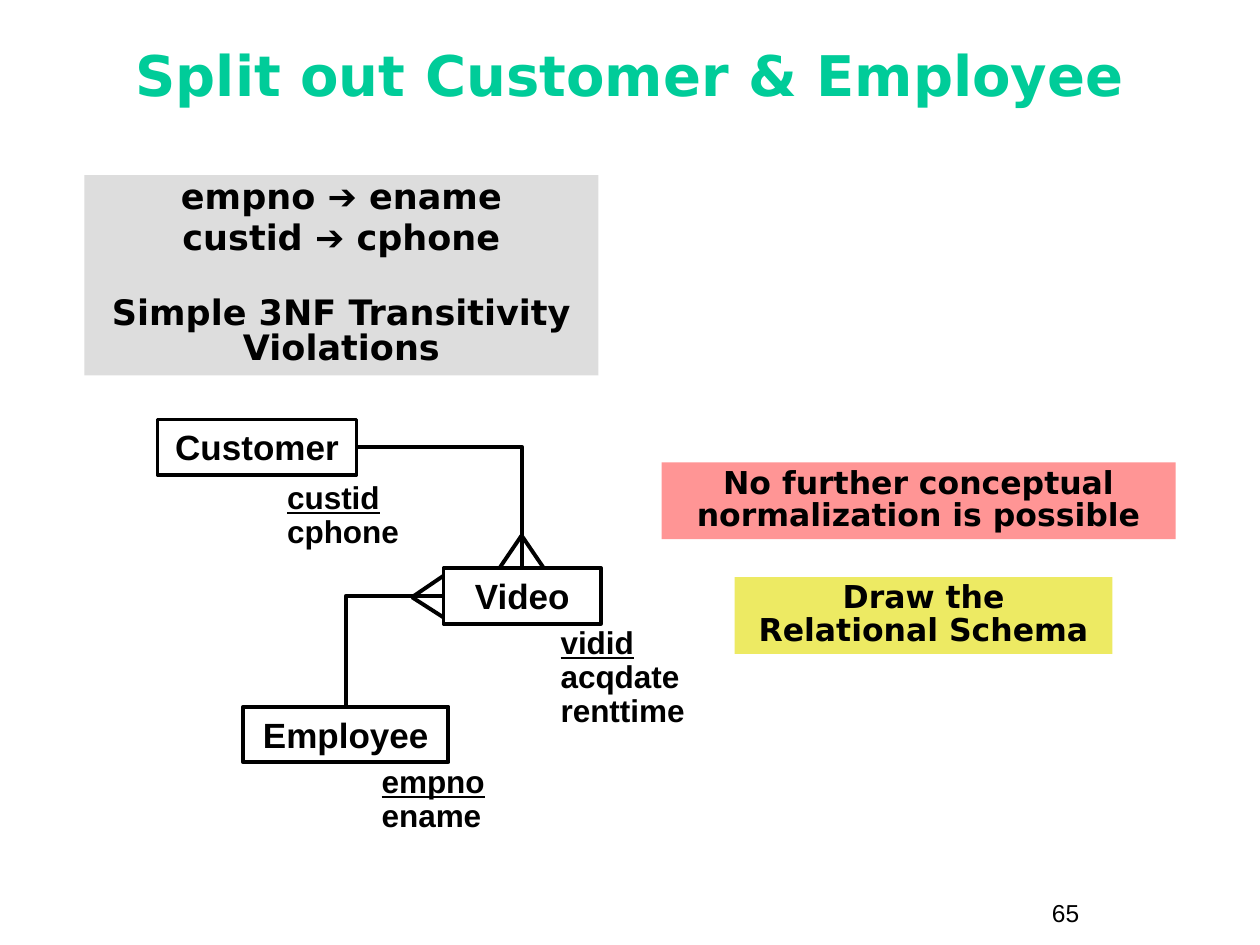
import pptx
import pptx.util
import pptx.dml.color
import pptx.enum.shapes
import pptx.enum.text
import pptx.oxml.ns
from lxml import etree
from pptx.util import Inches, Pt

RGBColor = pptx.dml.color.RGBColor
BLACK = RGBColor(0x00, 0x00, 0x00)
GREEN = RGBColor(0x00, 0xCC, 0x99)
GREY = RGBColor(0xDD, 0xDD, 0xDD)
PINK = RGBColor(0xFF, 0x95, 0x95)
YELLOW = RGBColor(0xED, 0xEA, 0x63)
LEFT = pptx.enum.text.PP_ALIGN.LEFT
CENTER = pptx.enum.text.PP_ALIGN.CENTER
TOP = pptx.enum.text.MSO_ANCHOR.TOP
MIDDLE = pptx.enum.text.MSO_ANCHOR.MIDDLE
RECTANGLE = pptx.enum.shapes.MSO_SHAPE.RECTANGLE
CONNECTOR = pptx.enum.shapes.MSO_CONNECTOR

presentation = pptx.Presentation()
presentation.slide_width = Inches(10)
presentation.slide_height = Inches(7.5)
slide = presentation.slides.add_slide(presentation.slide_layouts[6])


def write(shape, lines, size, font="Arial", color=BLACK, bold=True,
          align=LEFT, spacing=1.0, anchor=TOP):
    """Fill a shape with one paragraph per line."""
    frame = shape.text_frame
    frame.word_wrap = True
    frame.vertical_anchor = anchor
    frame.text = "\n".join(lines)
    for paragraph in frame.paragraphs:
        paragraph.alignment = align
        paragraph.line_spacing = spacing
        paragraph.font.size = Pt(size)
        paragraph.font.name = font
        paragraph.font.bold = bold
        paragraph.font.color.rgb = color
    return frame.paragraphs


def add_line(kind, x1, y1, x2, y2):
    """Draw a black connector without a shadow."""
    line = slide.shapes.add_connector(
        kind, Inches(x1), Inches(y1), Inches(x2), Inches(y2))
    line.line.color.rgb = BLACK
    line.line.width = Pt(2.25)
    etree.SubElement(line._element.spPr, pptx.oxml.ns.qn("a:effectLst"))
    return line


# Title and page number
title = slide.shapes.add_textbox(Inches(0.75), Inches(0.17), Inches(8.5), Inches(0.92))
write(title, ["Split out Customer & Employee"], 32, "DejaVu Sans", GREEN,
      align=CENTER, spacing=0.85, anchor=MIDDLE)
page_number = slide.shapes.add_textbox(Inches(8.25), Inches(7.08), Inches(0.92), Inches(0.34))
write(page_number, ["65"], 14, bold=False)

# Entities, each with its attributes below (the key is underlined)
entities = {}
for name, x, y, width, attributes, text_x, text_y, text_width in [
    ("Video", 3.52, 4.51, 1.25, ["vidid", "acqdate", "renttime"], 4.35, 4.93, 1.42),
    ("Employee", 1.93, 5.61, 1.63, ["empno", "ename"], 2.93, 6.03, 1.17),
    ("Customer", 1.25, 3.33, 1.58, ["custid", "cphone"], 2.18, 3.78, 1.17),
]:
    entity = slide.shapes.add_shape(
        RECTANGLE, Inches(x), Inches(y), Inches(width), Inches(0.44))
    entity.shadow.inherit = False
    entity.fill.background()
    entity.line.color.rgb = BLACK
    entity.line.width = Pt(2.25)
    write(entity, [name], 20, align=CENTER)
    entities[name] = entity
    attribute_box = slide.shapes.add_textbox(
        Inches(text_x), Inches(text_y), Inches(text_width),
        Inches(0.1 + 0.27 * len(attributes)))
    paragraphs = write(attribute_box, attributes, 18, spacing=0.9)
    paragraphs[0].font.underline = True

# Relationships with a single right-angle bend
for start, start_site, end, end_site, points in [
    ("Customer", 3, "Video", 0, (2.83, 3.55, 4.14, 4.51)),
    ("Video", 1, "Employee", 0, (3.52, 4.73, 2.75, 5.61)),
]:
    relationship = add_line(CONNECTOR.ELBOW, *points)
    relationship.begin_connect(entities[start], start_site)
    relationship.end_connect(entities[end], end_site)
    relationship._element.spPr.prstGeom.set("prst", "bentConnector2")

# Crow's feet on Video
for points in [
    (4.14, 4.25, 3.97, 4.5),
    (4.14, 4.25, 4.31, 4.5),
    (3.27, 4.74, 3.52, 4.57),
    (3.27, 4.74, 3.52, 4.9),
]:
    add_line(CONNECTOR.STRAIGHT, *points)

# Coloured notes
for lines, size, fill, x, y, width, height in [
    (["empno ➔ ename", "custid ➔ cphone", "Simple 3NF Transitivity Violations"],
     20, GREY, 0.67, 1.39, 4.08, 1.59),
    (["No further conceptual normalization is possible"],
     18, PINK, 5.25, 3.67, 4.08, 0.61),
    (["Draw the\vRelational Schema"], 18, YELLOW, 5.83, 4.58, 3, 0.61),
]:
    note = slide.shapes.add_shape(
        RECTANGLE, Inches(x), Inches(y), Inches(width), Inches(height))
    note.shadow.inherit = False
    note.fill.solid()
    note.fill.fore_color.rgb = fill
    note.line.fill.background()
    paragraphs = write(note, lines, size, "DejaVu Sans", align=CENTER, spacing=0.85)
    for paragraph, space in zip(paragraphs[1:], (2.5, 22.5)):
        paragraph.space_before = Pt(space)

presentation.save("out.pptx")
